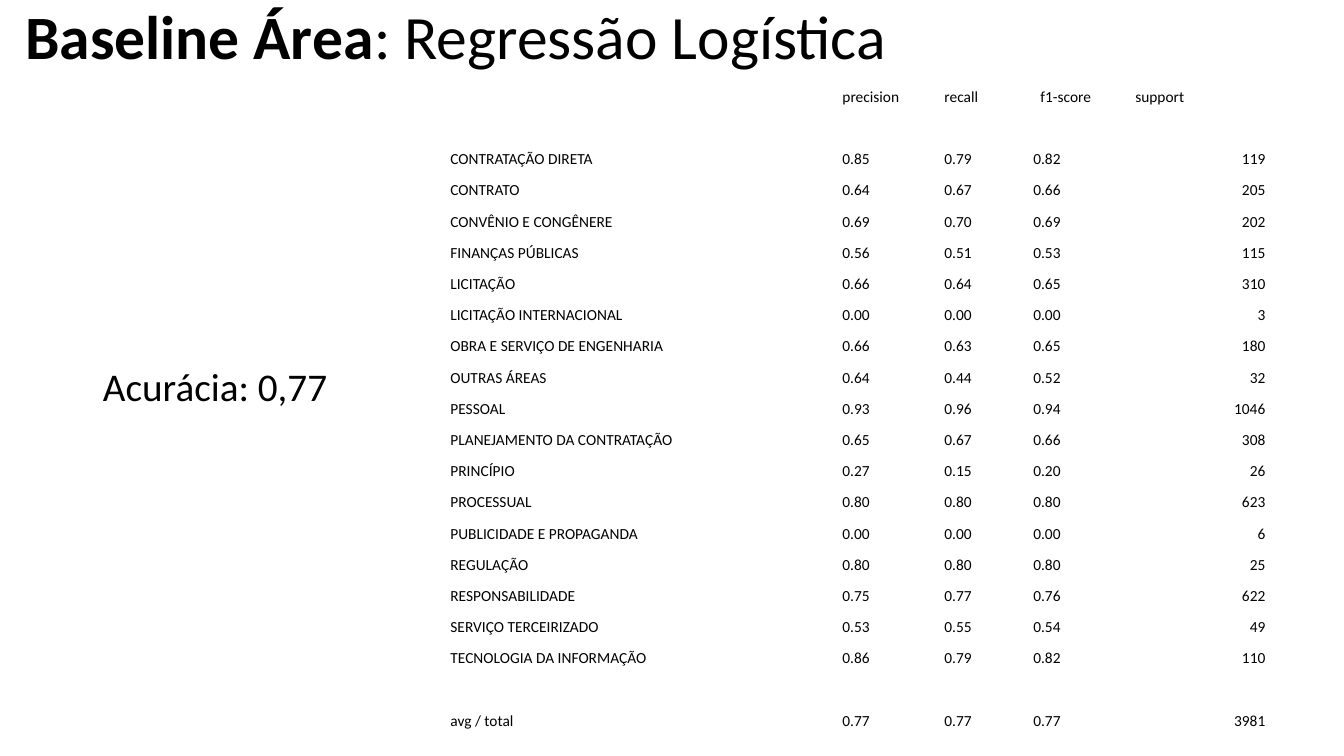
from lxml import etree
from pptx import Presentation
from pptx import util as u
from pptx.dml import color
from pptx.enum import text
from pptx.oxml import ns

FONT = "Calibri"
BLACK = "000000"
COLUMN_WIDTHS = (9.88, 2.57, 2.24, 2.57, 3.32)
ROW_HEIGHT = 0.786
REPORT = (
    ("", "precision", "recall", "f1-score", "support"),
    ("",) * 5,
    ("CONTRATAÇÃO DIRETA", "0.85", "0.79", "0.82", "119"),
    ("CONTRATO", "0.64", "0.67", "0.66", "205"),
    ("CONVÊNIO E CONGÊNERE", "0.69", "0.70", "0.69", "202"),
    ("FINANÇAS PÚBLICAS", "0.56", "0.51", "0.53", "115"),
    ("LICITAÇÃO", "0.66", "0.64", "0.65", "310"),
    ("LICITAÇÃO INTERNACIONAL", "0.00", "0.00", "0.00", "3"),
    ("OBRA E SERVIÇO DE ENGENHARIA", "0.66", "0.63", "0.65", "180"),
    ("OUTRAS ÁREAS", "0.64", "0.44", "0.52", "32"),
    ("PESSOAL", "0.93", "0.96", "0.94", "1046"),
    ("PLANEJAMENTO DA CONTRATAÇÃO", "0.65", "0.67", "0.66", "308"),
    ("PRINCÍPIO", "0.27", "0.15", "0.20", "26"),
    ("PROCESSUAL", "0.80", "0.80", "0.80", "623"),
    ("PUBLICIDADE E PROPAGANDA", "0.00", "0.00", "0.00", "6"),
    ("REGULAÇÃO", "0.80", "0.80", "0.80", "25"),
    ("RESPONSABILIDADE", "0.75", "0.77", "0.76", "622"),
    ("SERVIÇO TERCEIRIZADO", "0.53", "0.55", "0.54", "49"),
    ("TECNOLOGIA DA INFORMAÇÃO", "0.86", "0.79", "0.82", "110"),
    ("",) * 5,
    ("avg / total", "0.77", "0.77", "0.77", "3981"),
)


def set_font(font, size):
    font.name = FONT
    font.size = u.Pt(size)
    font.color.rgb = color.RGBColor.from_string(BLACK)


def place(box, left, top, width, height):
    box.left, box.top = u.Cm(left), u.Cm(top)
    box.width, box.height = u.Cm(width), u.Cm(height)


def fill_title(box):
    place(box, 0.38, -0.84, 29.21, 3.68)
    box.text_frame.vertical_anchor = text.MSO_ANCHOR.MIDDLE
    para = box.text_frame.paragraphs[0]
    para.alignment = text.PP_ALIGN.LEFT
    para.line_spacing = 0.9
    set_font(para.font, 44)
    for words, bold in (("Baseline Área", True), (": Regressão Logística", False)):
        span = para.add_run()
        span.text = words
        span.font.bold = bold


def fill_accuracy(box):
    place(box, 2.34, 9.14, 8.99, 1.5)
    para = box.text_frame.paragraphs[0]
    para.text = "Acurácia: 0,77"
    para.line_spacing = 0.9
    para.space_before = u.Pt(10)
    set_font(para.font, 28)
    properties = para._p.get_or_add_pPr()
    properties.set("marL", "0")
    properties.set("indent", "0")
    bullet = etree.Element(ns.qn("a:buNone"))
    properties.find(ns.qn("a:defRPr")).addprevious(bullet)


def fill_cell(cell, words, align, indent):
    cell.fill.background()
    cell.vertical_anchor = text.MSO_ANCHOR.BOTTOM
    cell.margin_left = u.Cm(indent)
    cell.margin_right = cell.margin_top = u.Cm(0.02)
    cell.margin_bottom = 0
    para = cell.text_frame.paragraphs[0]
    para.alignment = align
    set_font(para.font, 11)
    if words:
        para.text = words
    else:
        para.line_spacing = u.Pt(11)


def add_report(page):
    frame = page.shapes.add_table(
        len(REPORT), len(COLUMN_WIDTHS), u.Cm(11.33), u.Cm(1.9),
        u.Cm(sum(COLUMN_WIDTHS)), u.Cm(ROW_HEIGHT * len(REPORT)))
    table = frame.table
    table.first_row = table.horz_banding = False
    for column, width in zip(table.columns, COLUMN_WIDTHS):
        column.width = u.Cm(width)
    for i, values in enumerate(REPORT):
        table.rows[i].height = u.Cm(ROW_HEIGHT)
        for j, words in enumerate(values):
            is_support = i > 0 and j == 4
            align = text.PP_ALIGN.RIGHT if is_support else text.PP_ALIGN.LEFT
            indent = 0.2 if words == "f1-score" else 0.02
            fill_cell(table.cell(i, j), words, align, indent)


def main():
    deck = Presentation()
    deck.slide_width, deck.slide_height = u.Cm(33.87), u.Cm(19.05)
    page = deck.slides.add_slide(deck.slide_layouts[1])
    fill_title(page.shapes.title)
    fill_accuracy(page.placeholders[1])
    add_report(page)
    deck.save("out.pptx")


if __name__ == "__main__":
    main()
